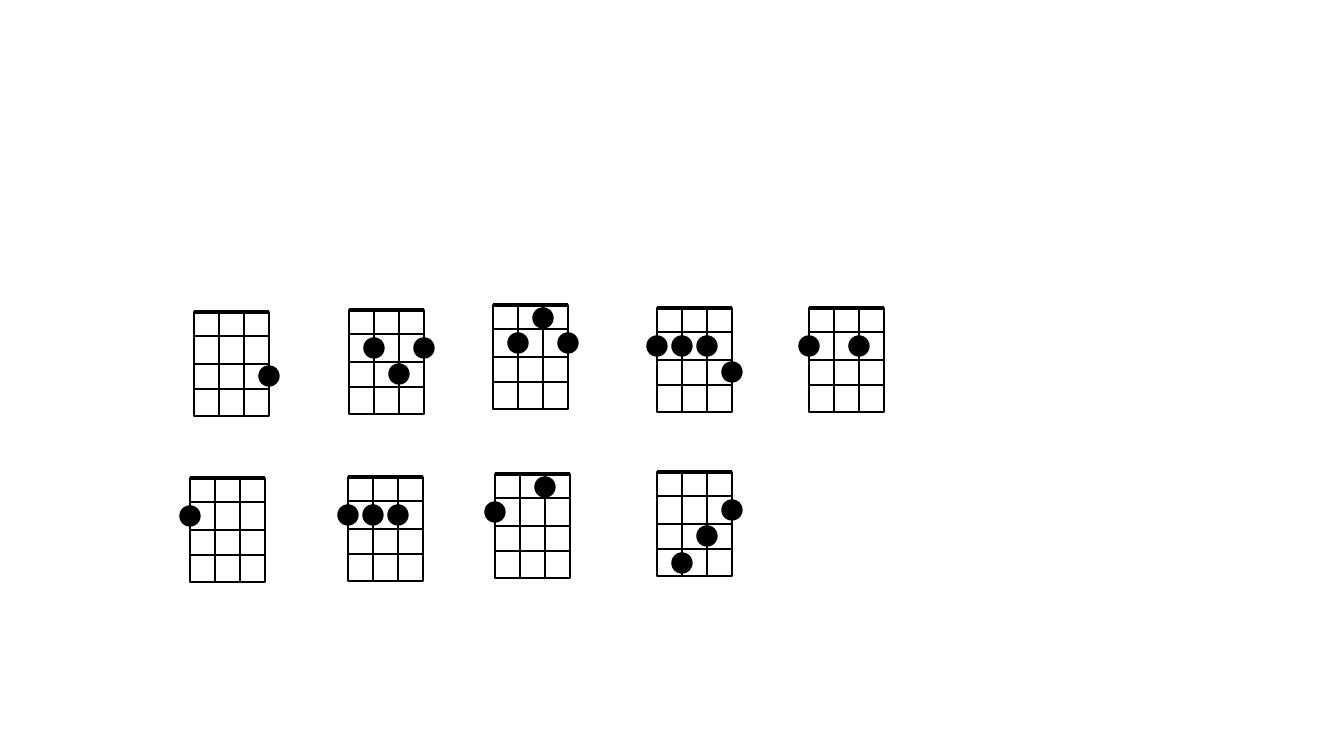
from typing import NamedTuple

from lxml.etree import SubElement
from pptx import Presentation
from pptx.dml.color import RGBColor
from pptx.enum.shapes import MSO_CONNECTOR, MSO_SHAPE
from pptx.oxml.ns import qn
from pptx.shapes.autoshape import Shape
from pptx.shapes.shapetree import GroupShapes
from pptx.util import Emu, Pt

EMU_PER_PIXEL = 914400 / 100.8
COLORS = {"ink": "000000"}
GRID_WIDTH, GRID_HEIGHT = 75, 104
STRING_GAP = GRID_WIDTH // 3
FRET_LINES = (24, 52, 77)
FINGER_HEIGHTS = {1: 13, 2: 38, 3: 64, 4: 91}
DOT_SIZE = 20


class Finger(NamedTuple):
    string: int
    fret: int


class Chord(NamedTuple):
    left: int
    top: int
    fingers: tuple[Finger, ...]


CHORDS = (
    Chord(194, 312, (Finger(3, 3),)),
    Chord(349, 310, (Finger(1, 2), Finger(2, 3), Finger(3, 2))),
    Chord(493, 305, (Finger(1, 2), Finger(2, 1), Finger(3, 2))),
    Chord(657, 308, (Finger(0, 2), Finger(1, 2), Finger(2, 2), Finger(3, 3))),
    Chord(809, 308, (Finger(0, 2), Finger(2, 2))),
    Chord(190, 478, (Finger(0, 2),)),
    Chord(348, 477, (Finger(0, 2), Finger(1, 2), Finger(2, 2))),
    Chord(495, 474, (Finger(0, 2), Finger(2, 1))),
    Chord(657, 472, (Finger(1, 4), Finger(2, 3), Finger(3, 2))),
)


def px(pixels: int) -> Emu:
    return Emu(round(pixels * EMU_PER_PIXEL))


def ink() -> RGBColor:
    return RGBColor.from_string(COLORS["ink"])


def add_outlined(shapes: GroupShapes, kind: MSO_SHAPE, left: int, top: int,
                 width: int, height: int, weight: float) -> Shape:
    shape = shapes.add_shape(kind, px(left), px(top), px(width), px(height))
    shape.shadow.inherit = False
    shape.fill.background()
    shape.line.color.rgb = ink()
    shape.line.width = Pt(weight)
    return shape


def add_line(shapes: GroupShapes, left: int, top: int, right: int, bottom: int,
             weight: float = 1.5) -> None:
    line = shapes.add_connector(
        MSO_CONNECTOR.STRAIGHT, px(left), px(top), px(right), px(bottom))
    line.line.color.rgb = ink()
    line.line.width = Pt(weight)
    SubElement(line._element.spPr, qn("a:effectLst"))


def add_finger(shapes: GroupShapes, chord: Chord, finger: Finger) -> None:
    center_x = chord.left + finger.string * STRING_GAP
    center_y = chord.top + FINGER_HEIGHTS[finger.fret]
    dot = add_outlined(shapes, MSO_SHAPE.OVAL, center_x - DOT_SIZE // 2,
                       center_y - DOT_SIZE // 2, DOT_SIZE, DOT_SIZE, 1)
    dot.fill.solid()
    dot.fill.fore_color.rgb = ink()


def add_chord(shapes: GroupShapes, chord: Chord) -> None:
    left, top, fingers = chord
    right, bottom = left + GRID_WIDTH, top + GRID_HEIGHT
    add_outlined(shapes, MSO_SHAPE.RECTANGLE, left, top,
                 GRID_WIDTH, GRID_HEIGHT, 1.5)
    for string in (1, 2):
        string_x = left + string * STRING_GAP
        add_line(shapes, string_x, top, string_x, bottom)
    for offset in FRET_LINES:
        add_line(shapes, left, top + offset, right, top + offset)
    add_line(shapes, left, top, right, top, 3)
    for finger in fingers:
        add_finger(shapes, chord, finger)


presentation = Presentation()
presentation.slide_width = px(1344)
presentation.slide_height = px(756)
slide = presentation.slides.add_slide(presentation.slide_layouts[6])
for chord in CHORDS:
    add_chord(slide.shapes.add_group_shape().shapes, chord)
presentation.save("out.pptx")
